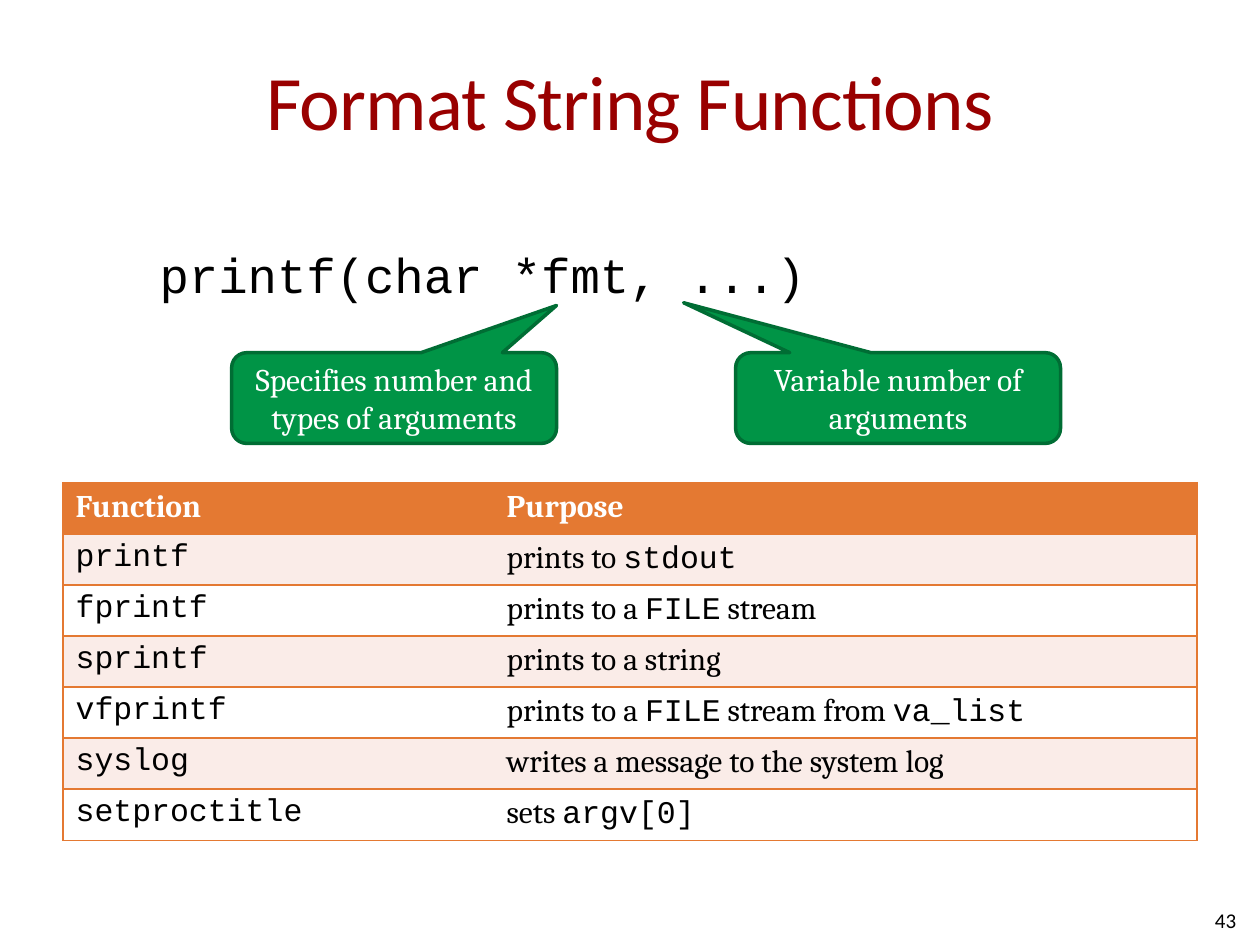
from dataclasses import dataclass

from lxml import etree
from pptx import Presentation
from pptx.dml.color import RGBColor
from pptx.enum import shapes, text
from pptx.oxml import ns
from pptx.util import Cm, Pt


@dataclass(frozen=True)
class Theme:
    heading: str = "990000"
    ink: str = "000000"
    paper: str = "FFFFFF"
    accent: str = "E47932"
    band: str = "FAECE8"
    callout: str = "009446"
    callout_edge: str = "006D34"
    sans: str = "Calibri"
    serif: str = "Cambria"
    mono: str = "Courier New"
    title_size: int = 44
    code_size: int = 28
    body_size: int = 18
    number_size: int = 12


theme = Theme()


def write(frame, pieces, size, color, align=text.PP_ALIGN.LEFT, bold=False):
    frame.word_wrap = True
    paragraph = frame.paragraphs[0]
    paragraph.alignment = align
    for words, face in pieces:
        run = paragraph.add_run()
        run.text = words
        run.font.name = face
        run.font.size = Pt(size)
        run.font.bold = bold
        run.font.color.rgb = RGBColor.from_string(color)
    return paragraph


def edge(cell, side, color=None):
    line = etree.SubElement(cell._tc.get_or_add_tcPr(), ns.qn(f"a:ln{side}"), w=str(Pt(1)))
    if color is None:
        etree.SubElement(line, ns.qn("a:noFill"))
    else:
        fill = etree.SubElement(line, ns.qn("a:solidFill"))
        etree.SubElement(fill, ns.qn("a:srgbClr"), val=color)


deck = Presentation()
deck.slide_width, deck.slide_height = Cm(25.4), Cm(19.05)
slide = deck.slides.add_slide(deck.slide_layouts[6])

heading = slide.shapes.add_textbox(Cm(1.27), Cm(0.43), Cm(22.86), Cm(3.18)).text_frame
heading.margin_left = heading.margin_right = 0
heading.vertical_anchor = text.MSO_ANCHOR.MIDDLE
title = write(heading, [("Format String Functions", theme.sans)],
              theme.title_size, theme.heading, text.PP_ALIGN.CENTER)
title.runs[0]._r.get_or_add_rPr().set("spc", "-50")

functions = [
    ("printf", [("prints to ", theme.serif), ("stdout", theme.mono)]),
    ("fprintf", [("prints to a ", theme.serif), ("FILE", theme.mono), (" stream", theme.serif)]),
    ("sprintf", [("prints to a string", theme.serif)]),
    ("vfprintf", [("prints to a ", theme.serif), ("FILE", theme.mono),
                  (" stream from ", theme.serif), ("va_list", theme.mono)]),
    ("syslog", [("writes a message to the system log", theme.serif)]),
    ("setproctitle", [("sets ", theme.serif), ("argv[0]", theme.mono)]),
]
rows = [([("Function", theme.serif)], [("Purpose", theme.serif)])]
rows += [([(name, theme.mono)], purpose) for name, purpose in functions]

reference = slide.shapes.add_table(len(rows), 2, Cm(1.27), Cm(9.73), Cm(22.86), Cm(7.21)).table
reference.columns[0].width, reference.columns[1].width = Cm(8.69), Cm(14.17)
for r, entries in enumerate(rows):
    is_header = r == 0
    shade = theme.accent if is_header else theme.band if r % 2 else theme.paper
    for c, pieces in enumerate(entries):
        cell = reference.cell(r, c)
        edge(cell, "L", theme.accent if c == 0 else None)
        edge(cell, "R", theme.accent if c == 1 else None)
        edge(cell, "T", theme.accent)
        edge(cell, "B", theme.accent)
        cell.fill.solid()
        cell.fill.fore_color.rgb = RGBColor.from_string(shade)
        write(cell.text_frame, pieces, theme.body_size,
              theme.paper if is_header else theme.ink, bold=is_header)

signature = slide.shapes.add_textbox(Cm(2.97), Cm(4.8), Cm(14.6), Cm(1.45)).text_frame
write(signature, [("printf(char *fmt, ...)", theme.mono)], theme.code_size, theme.ink)

for left, tip_x, tip_y, note in [
    (4.67, 0.5, -1.02, "Specifies number and types of arguments"),
    (14.83, -0.66, -1.05, "Variable number of arguments"),
]:
    callout = slide.shapes.add_shape(shapes.MSO_SHAPE.ROUNDED_RECTANGULAR_CALLOUT,
                                     Cm(left), Cm(7.11), Cm(6.55), Cm(1.83))
    callout.adjustments[0], callout.adjustments[1] = tip_x, tip_y
    callout.shadow.inherit = False
    callout.fill.solid()
    callout.fill.fore_color.rgb = RGBColor.from_string(theme.callout)
    callout.line.color.rgb = RGBColor.from_string(theme.callout_edge)
    callout.line.width = Pt(2)
    callout.text_frame.vertical_anchor = text.MSO_ANCHOR.MIDDLE
    write(callout.text_frame, [(note, theme.serif)],
          theme.body_size, theme.paper, text.PP_ALIGN.CENTER)

page = slide.shapes.add_textbox(Cm(19.25), Cm(18.03), Cm(5.92), Cm(1.02)).text_frame
page.vertical_anchor = text.MSO_ANCHOR.MIDDLE
write(page, [("43", theme.sans)], theme.number_size, theme.ink, text.PP_ALIGN.RIGHT)

deck.save("out.pptx")
